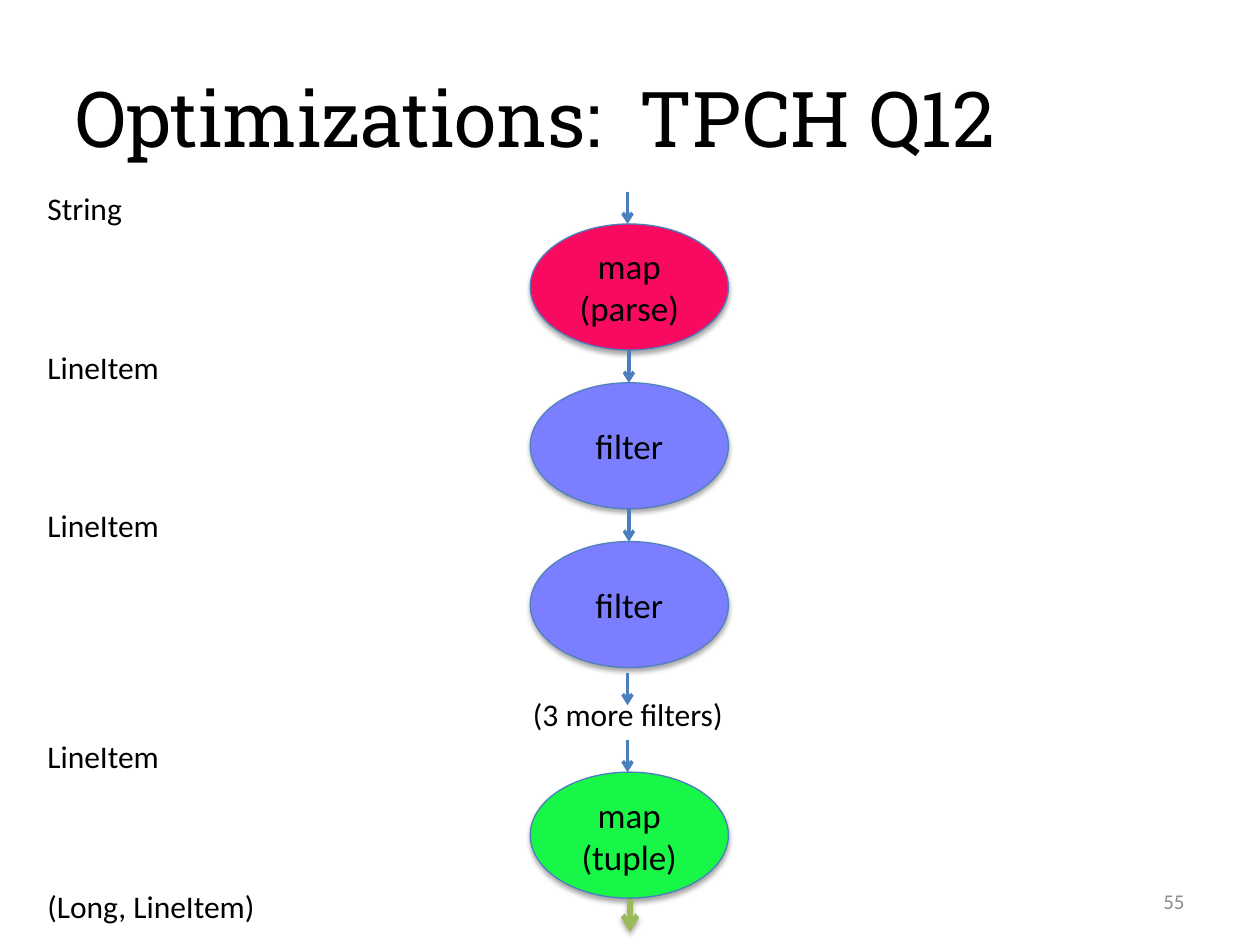
from lxml.etree import SubElement
from pptx import Presentation
from pptx.dml.color import RGBColor
from pptx.enum.shapes import MSO_CONNECTOR, MSO_SHAPE
from pptx.enum.text import MSO_ANCHOR, PP_ALIGN
from pptx.oxml.ns import qn
from pptx.util import Pt

COLORS = {
    "text": "000000", "number": "8C8C8C", "arrow": "4B7EBC", "output": "9BBB59",
    "parse": "F80A61", "filter": "7B7EFF", "tuple": "18F647",
    "outline": "4B7EBC", "filter outline": "4F81BD",
}


def write(shape, text, size, font="Calibri", color="text", align=PP_ALIGN.LEFT,
          anchor=MSO_ANCHOR.TOP, wrap=True):
    frame = shape.text_frame
    frame.word_wrap = wrap
    frame.vertical_anchor = anchor
    para = frame.paragraphs[0]
    para.alignment = align
    span = para.add_run()
    span.text = text
    for name, value in {"size": Pt(size), "name": font}.items():
        setattr(span.font, name, value)
    span.font.color.rgb = RGBColor.from_string(COLORS[color])


def add_effects(properties, shadow):
    effects = SubElement(properties, qn("a:effectLst"))
    if shadow:
        outer = SubElement(effects, qn("a:outerShdw"), blurRad=str(Pt(3.1)),
                           dist=str(Pt(1.8)), dir="5400000", rotWithShape="0")
        tint = SubElement(outer, qn("a:srgbClr"), val="000000")
        SubElement(tint, qn("a:alpha"), val="35000")


deck = Presentation()
deck.slide_width, deck.slide_height = Pt(720), Pt(540)
page = deck.slides.add_slide(deck.slide_layouts[6])

# Title and page number
title = page.shapes.add_textbox(Pt(36), Pt(21.6), Pt(648), Pt(90))
write(title, "Optimizations:  TPCH Q12", 44, "Roboto Slab", anchor=MSO_ANCHOR.MIDDLE)
number = page.shapes.add_textbox(Pt(516), Pt(500.5), Pt(168), Pt(28.75))
write(number, "55", 12, color="number", align=PP_ALIGN.RIGHT, anchor=MSO_ANCHOR.MIDDLE)

# Operators: the first three are evenly spaced
FIRST, STEP = 128, 90.75
operators = [
    ("map (parse)", FIRST, "parse", "outline"),
    ("filter", FIRST + STEP, "filter", "filter outline"),
    ("filter", FIRST + 2 * STEP, "filter", "filter outline"),
    ("map (tuple)", 441.25, "tuple", "outline"),
]
for text, top, fill, outline in operators:
    operator = page.shapes.add_shape(MSO_SHAPE.OVAL, Pt(303), Pt(top), Pt(113.25), Pt(72))
    operator.fill.solid()
    operator.fill.fore_color.rgb = RGBColor.from_string(COLORS[fill])
    operator.line.color.rgb = RGBColor.from_string(COLORS[outline])
    operator.line.width = Pt(0.75)
    add_effects(operator.element.spPr, shadow=True)
    write(operator, text, 20, align=PP_ALIGN.CENTER, anchor=MSO_ANCHOR.MIDDLE)

# Arrows between the operators
ARROW = 18.5
arrows = [
    (358.6, FIRST - ARROW, "arrow", 2),
    (359.4, FIRST + STEP - ARROW, "arrow", 2),
    (359.4, FIRST + 2 * STEP - ARROW, "arrow", 2),
    (358.6, 384.5, "arrow", 2),
    (358.6, 441.25 - ARROW, "arrow", 2),
    (360, 514, "output", 3),
]
for x, top, color, width in arrows:
    arrow = page.shapes.add_connector(
        MSO_CONNECTOR.STRAIGHT, Pt(x), Pt(top), Pt(x), Pt(top + ARROW))
    arrow.line.color.rgb = RGBColor.from_string(COLORS[color])
    arrow.line.width = Pt(width)
    SubElement(arrow.line._get_or_add_ln(), qn("a:tailEnd"), type="arrow")
    add_effects(arrow.element.spPr, shadow=color == "output")

# Record types on the left and the note on skipped filters
labels = [
    ("String", 20, 104.4, 57.6),
    ("LineItem", 20, 195.1, 79.2),
    ("LineItem", 20, 285.8, 79.2),
    ("LineItem", 20, 417.6, 79.2),
    ("(Long, LineItem)", 20, 503.3, 134.6),
    ("(3 more filters)", 297.5, 393.8, 124.6),
]
for text, left, top, width in labels:
    label = page.shapes.add_textbox(Pt(left), Pt(top), Pt(width), Pt(29))
    write(label, text, 18, wrap=False)

deck.save("out.pptx")
